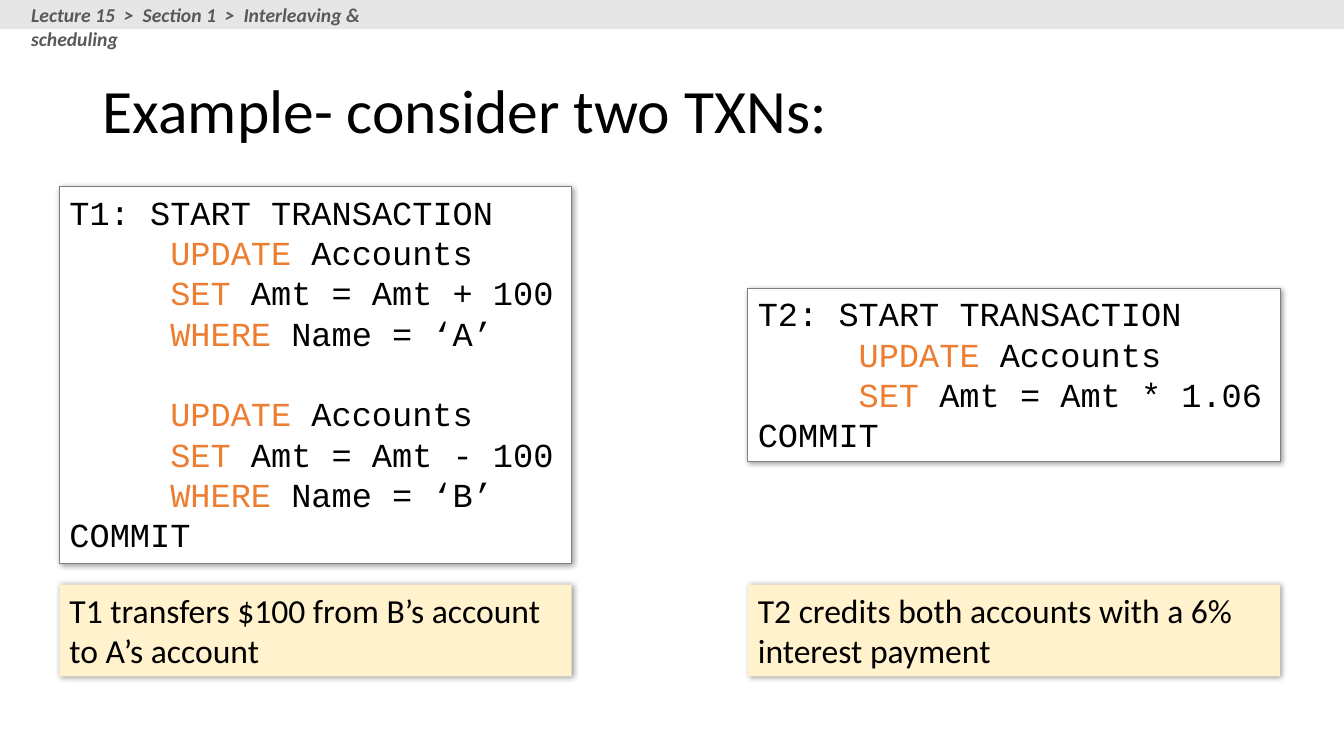
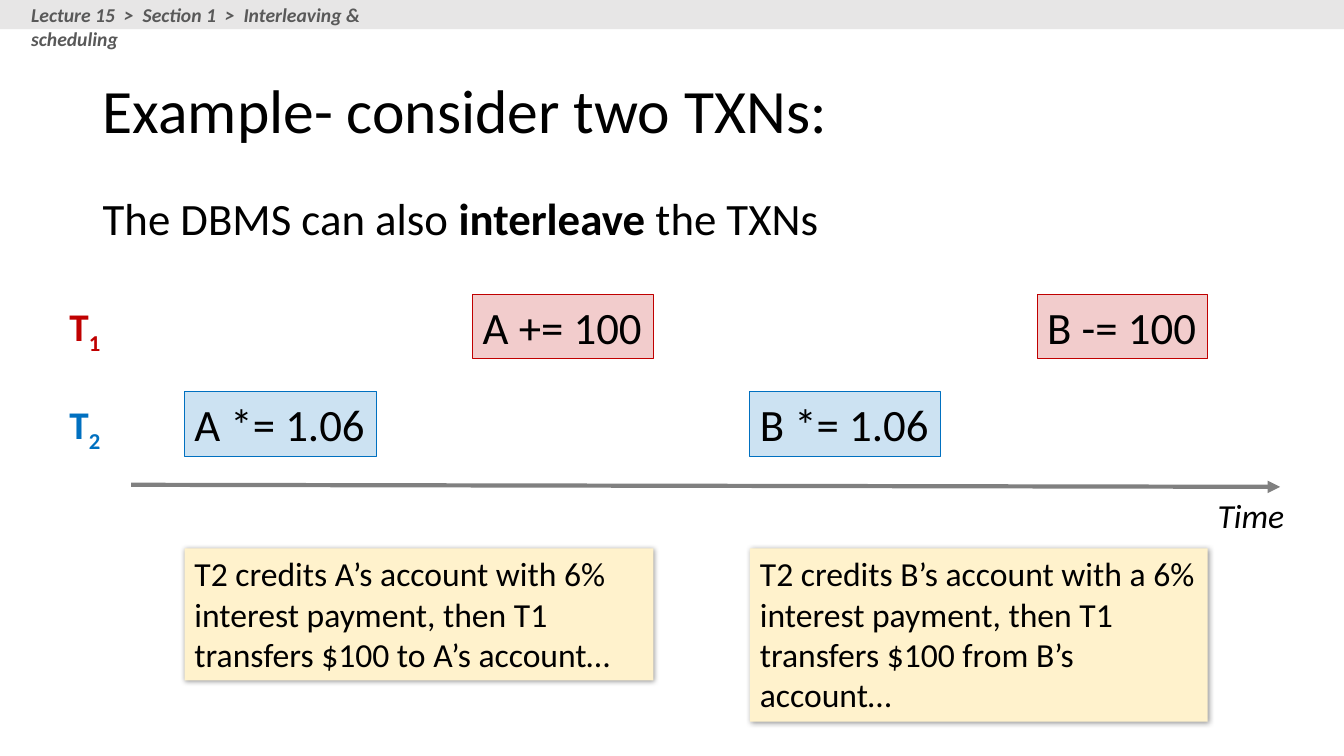
from lxml.etree import SubElement
from pptx import Presentation
from pptx.dml.color import RGBColor
from pptx.enum.shapes import MSO_CONNECTOR, MSO_SHAPE
from pptx.enum.text import MSO_ANCHOR, MSO_AUTO_SIZE, PP_ALIGN
from pptx.oxml.ns import qn
from pptx.util import Emu, Inches, Pt

SLIDE_W, SLIDE_H = Inches(13.33), Inches(7.5)
SANS, MONO = "Calibri", "Courier New"
BLACK, WHITE = "000000", "FFFFFF"
BAND, CRUMB, GRAY = "E7E6E6", "595959", "808080"
KEYWORD, NOTE = "ED7D31", "FFF2CC"
RED, BLUE = "C00000", "0070C0"

# Columns and rows, in percent of the slide's width and height
LEFT, TITLE_X = 4.43, 6.9
T2_X, NOTE_Y = 55.65, 77.33
PAIR_X, PAIR_NOTE_Y = (13.73, 55.8), 72.53
OP_H = 8.53


def rgb(color):
    """Turn a hex string into a colour."""
    return RGBColor.from_string(color)


def across(share):
    """Length for a percentage of the slide's width."""
    return Emu(round(SLIDE_W * share / 100))


def down(share):
    """Length for a percentage of the slide's height."""
    return Emu(round(SLIDE_H * share / 100))


def place(at):
    """Turn (left, top, width, height) in percent into lengths."""
    x, y, w, h = at
    return across(x), down(y), across(w), down(h)


def style(r, size, color=BLACK, font=SANS, bold=False, italic=False):
    """Format one run."""
    r.font.size, r.font.name = Pt(size), font
    r.font.bold, r.font.italic = bold, italic
    r.font.color.rgb = rgb(color)


def write(sp, text, size, wrap=True, **look):
    """Set a shape's text in one style and return its paragraph."""
    tf = sp.text_frame
    tf.text = text
    tf.word_wrap = wrap
    tf.auto_size = MSO_AUTO_SIZE.SHAPE_TO_FIT_TEXT
    tf.vertical_anchor = MSO_ANCHOR.TOP
    p = tf.paragraphs[0]
    p.alignment = PP_ALIGN.LEFT
    for r in p.runs:
        style(r, size, **look)
    return p


def add_run(p, text, size, **look):
    """Append a styled run to a paragraph."""
    r = p.add_run()
    r.text = text
    style(r, size, **look)
    return r


def label(s, at, text, size, wrap=False, **look):
    """Add a text box and return its paragraph."""
    return write(s.shapes.add_textbox(*place(at)), text, size, wrap, **look)


def box(s, at, fill, line=None, alpha=None, shadow=False):
    """Add a rectangle with optional outline, transparency and shadow."""
    sp = s.shapes.add_shape(MSO_SHAPE.RECTANGLE, *place(at))
    sp.fill.solid()
    sp.fill.fore_color.rgb = rgb(fill)
    if line:
        sp.line.color.rgb = rgb(line)
        sp.line.width = Pt(0.75)
    else:
        sp.line.fill.background()
    sp.shadow.inherit = False
    props = sp._element.spPr
    if alpha:
        color = props.find(qn("a:solidFill")).find(qn("a:srgbClr"))
        SubElement(color, qn("a:alpha"), val=str(alpha * 1000))
    if shadow:
        outer = SubElement(props.find(qn("a:effectLst")), qn("a:outerShdw"),
                           blurRad=str(Pt(4)), dist=str(Pt(1)),
                           dir=str(45 * 60000), algn="tl", rotWithShape="0")
        color = SubElement(outer, qn("a:srgbClr"), val=BLACK)
        SubElement(color, qn("a:alpha"), val="40000")
    return sp


def code(s, at, name, groups):
    """Add a transaction listing; a gap parts its groups of statements."""
    look = dict(size=24, font=MONO)
    sp = box(s, at, WHITE, line=GRAY, shadow=True)
    write(sp, f"{name}: START TRANSACTION", **look)
    tf = sp.text_frame
    for i, statements in enumerate(groups):
        for j, (keyword, rest) in enumerate(statements):
            p = tf.add_paragraph()
            p.alignment = PP_ALIGN.LEFT
            p._p.get_or_add_pPr().set("marL", str(Inches(1)))
            if i and not j:
                p.space_before = Pt(29)
            add_run(p, keyword, color=KEYWORD, **look)
            add_run(p, f" {rest}", **look)
    p = tf.add_paragraph()
    p.alignment = PP_ALIGN.LEFT
    add_run(p, "COMMIT", **look)


def note(s, at, text):
    """Add a shaded explanation."""
    write(box(s, at, NOTE, shadow=True), text, 24)


def operation(s, at, text, color):
    """Add one step of a schedule in its transaction's colour."""
    write(box(s, at, color, line=color, alpha=20), text, 32, wrap=False)


def row_name(s, y, number, color):
    """Add a transaction's name with a subscript number."""
    p = label(s, (LEFT, y, 3.98, 7.6), "T", 28, color=color, bold=True)
    r = add_run(p, number, 28, color=color, bold=True)
    r.font._element.set("baseline", "-25000")


def time_arrow(s, x1, y1, x2, y2):
    """Add the time axis."""
    axis = s.shapes.add_connector(MSO_CONNECTOR.STRAIGHT, across(x1),
                                  down(y1), across(x2), down(y2))
    axis.line.color.rgb = rgb(GRAY)
    axis.line.width = Pt(3)
    SubElement(axis.line._get_or_add_ln(), qn("a:tailEnd"), type="triangle")
    SubElement(axis._element.spPr, qn("a:effectLst"))


def new_slide(prs):
    """Add a slide with the title, top band and breadcrumb."""
    s = prs.slides.add_slide(prs.slide_layouts[6])
    sp = s.shapes.add_textbox(*place((TITLE_X, 5.33, 86.25, 19.33)))
    write(sp, "Example- consider two TXNs:", 44).line_spacing = 0.9
    sp.text_frame.auto_size = MSO_AUTO_SIZE.NONE
    sp.text_frame.vertical_anchor = MSO_ANCHOR.MIDDLE
    box(s, (0, 0, 100, 3.87), BAND)
    label(s, (1.58, -0.27, 32.4, 4.53),
          "Lecture 15\u00a0 >\u00a0 Section 1\u00a0 >\u00a0 "
          "Interleaving & scheduling",
          14, wrap=True, color=CRUMB, bold=True, italic=True)
    return s


def transactions_slide(prs):
    """Show the code of both transactions and what they do."""
    s = new_slide(prs)
    update = ("UPDATE", "Accounts")
    code(s, (LEFT, 24.67, 38.1, 49.87), "T1", [
        [update, ("SET", f"Amt = Amt {change}"), ("WHERE", f"Name = ‘{name}’")]
        for change, name in (("+ 100", "A"), ("- 100", "B"))])
    code(s, (T2_X, 38.13, 39.6, 22.93), "T2",
         [[update, ("SET", "Amt = Amt * 1.06")]])
    note(s, (LEFT, NOTE_Y, 38.1, 12.13),
         "T1 transfers $100 from B’s account to A’s account")
    note(s, (T2_X, NOTE_Y, 39.6, 12.13),
         "T2 credits both accounts with a 6% interest payment")


def interleaving_slide(prs):
    """Show the interleaved schedule along a time axis."""
    s = new_slide(prs)
    time_arrow(s, 9.75, 64.13, 95.25, 64.4)
    row_name(s, 39.33, "1", RED)
    row_name(s, 52.27, "2", BLUE)
    for x, y, w, text, color in (
            (35.18, 38.93, 13.43, "A += 100", RED),
            (77.18, 38.93, 12.68, "B -= 100", RED),
            (PAIR_X[0], 51.8, 14.25, "A *= 1.06", BLUE),
            (PAIR_X[1], 51.8, 14.18, "B *= 1.06", BLUE)):
        operation(s, (x, y, w, OP_H), text, color)
    label(s, (89.85, 64.8, 6.53, 6.67), "Time", 24, italic=True)
    p = label(s, (TITLE_X, 24.53, 55.28, OP_H), "The DBMS can also ", 32)
    add_run(p, "interleave", 32, bold=True)
    add_run(p, " the TXNs", 32)
    note(s, (PAIR_X[0], PAIR_NOTE_Y, 34.88, 17.47),
         "T2 credits A’s account with 6% interest payment, "
         "then T1 transfers $100 to A’s account…")
    note(s, (PAIR_X[1], PAIR_NOTE_Y, 34.05, 22.93),
         "T2 credits B’s account with a 6% interest payment, "
         "then T1 transfers $100 from B’s account…")


def main():
    """Build and save the presentation."""
    prs = Presentation()
    prs.slide_width, prs.slide_height = SLIDE_W, SLIDE_H
    transactions_slide(prs)
    interleaving_slide(prs)
    prs.save("out.pptx")


main()
